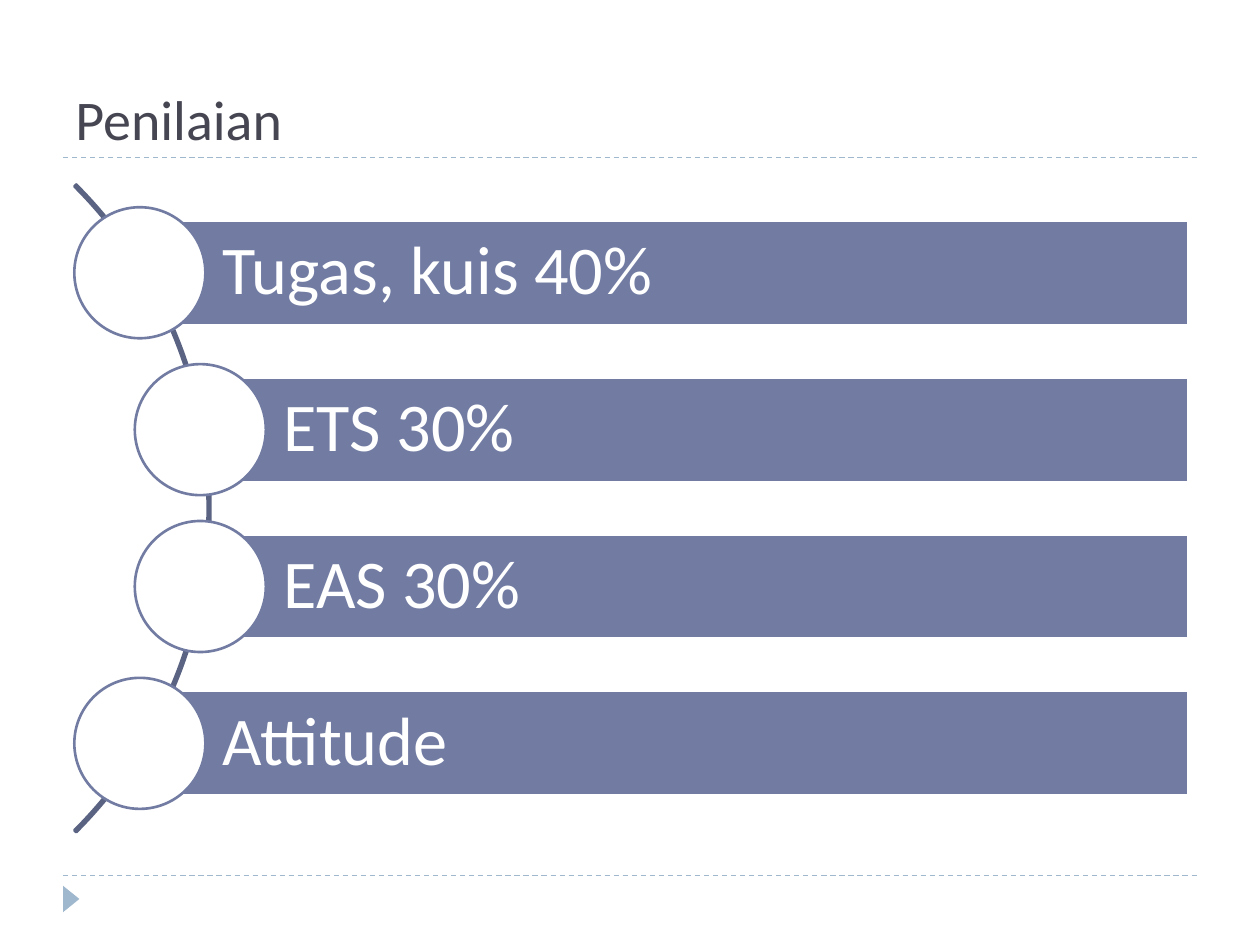
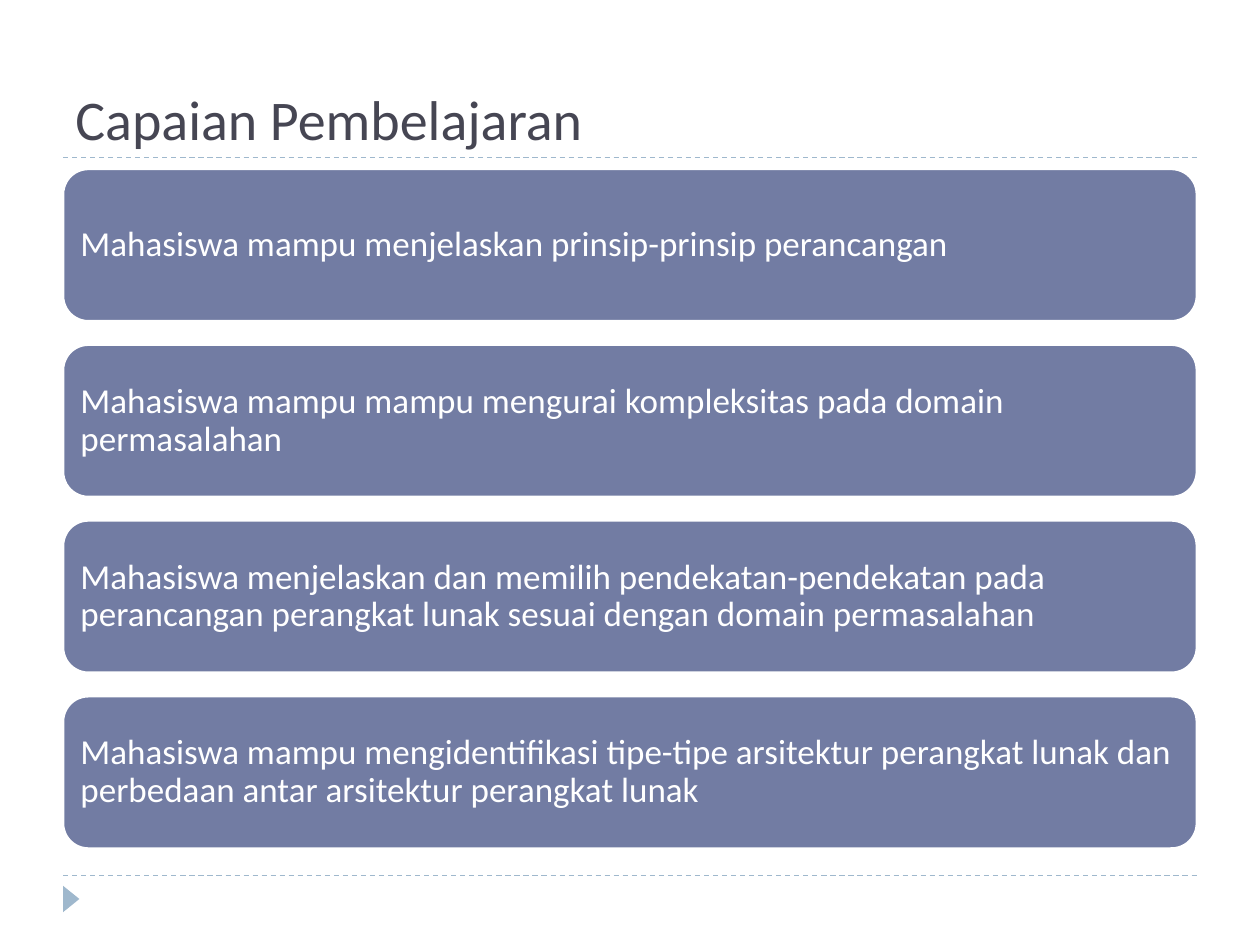
import pptx
import pptx.util
import pptx.dml.color
import pptx.enum.dml
import pptx.enum.shapes
import pptx.enum.text
import pptx.oxml.ns
import lxml.etree

RGB = pptx.dml.color.RGBColor
SLATE = RGB(0x72, 0x7C, 0xA3)
DARK_SLATE = RGB(0x5B, 0x63, 0x83)
PALE_BLUE = RGB(0x9F, 0xB8, 0xCD)
TITLE_GREY = RGB(0x46, 0x46, 0x53)
WHITE = RGB(0xFF, 0xFF, 0xFF)

SHAPE = pptx.enum.shapes.MSO_SHAPE
ANCHOR = pptx.enum.text.MSO_ANCHOR
COLS, ROWS = 20, 15  # square grid cells, half an inch each
MARGIN, CONTENT_W = 1, 18


class Deck:
    font = "Calibri"
    outline = pptx.util.Pt(1.5)

    def __init__(self):
        self.prs = pptx.Presentation()
        self.prs.slide_width = pptx.util.Inches(10)
        self.prs.slide_height = pptx.util.Inches(7.5)
        self.s = None

    def x(self, cols):
        return round(self.prs.slide_width * cols / COLS)

    def y(self, rows):
        return round(self.prs.slide_height * rows / ROWS)

    def box(self, left, top, width, height):
        return self.x(left), self.y(top), self.x(width), self.y(height)

    def new_slide(self, title):
        self.s = self.prs.slides.add_slide(self.prs.slide_layouts[6])
        # Dashed rules and the footer marker
        for row in (13.9, 2.5):
            self.rule(row)
        marker = self.shape(SHAPE.ISOSCELES_TRIANGLE, 0.92, 14.14, 0.42, 0.26, PALE_BLUE)
        marker.rotation = 90
        # Title
        sp = self.s.shapes.add_textbox(*self.box(MARGIN, 0.34, CONTENT_W, 2.16))
        self.text(sp, title, 32, TITLE_GREY, ANCHOR.BOTTOM)

    def rule(self, row):
        line = self.s.shapes.add_connector(
            pptx.enum.shapes.MSO_CONNECTOR.STRAIGHT,
            self.x(MARGIN), self.y(row), self.x(MARGIN + CONTENT_W), self.y(row))
        line.line.color.rgb = PALE_BLUE
        line.line.width = pptx.util.Pt(0.75)
        line.line.dash_style = pptx.enum.dml.MSO_LINE.DASH
        lxml.etree.SubElement(line._element.spPr, pptx.oxml.ns.qn("a:effectLst"))

    def shape(self, kind, left, top, width, height, fill=None, line=None):
        sp = self.s.shapes.add_shape(kind, *self.box(left, top, width, height))
        sp.shadow.inherit = False
        if fill is None:
            sp.fill.background()
        else:
            sp.fill.solid()
            sp.fill.fore_color.rgb = fill
        if line is None:
            sp.line.fill.background()
        else:
            sp.line.color.rgb = line
            sp.line.width = self.outline
        return sp

    def text(self, sp, words, size, color, anchor, spacing=None):
        tf = sp.text_frame
        tf.word_wrap = True
        tf.vertical_anchor = anchor
        p = tf.paragraphs[0]
        p.alignment = pptx.enum.text.PP_ALIGN.LEFT
        p.line_spacing = spacing
        r = p.add_run()
        r.text = words
        r.font.name = self.font
        r.font.size = pptx.util.Pt(size)
        r.font.color.rgb = color

    def panel(self, kind, left, top, width, height, words, size, inset, left_inset):
        sp = self.shape(kind, left, top, width, height, SLATE, WHITE)
        tf = sp.text_frame
        tf.margin_left = pptx.util.Inches(left_inset)
        tf.margin_top = tf.margin_right = tf.margin_bottom = pptx.util.Inches(inset)
        self.text(sp, words, size, WHITE, ANCHOR.MIDDLE, 0.9)

    def arc(self, center_x, center_y, diameter):
        sp = self.shape(SHAPE.BLOCK_ARC, center_x - diameter / 2, center_y - diameter / 2,
                        diameter, diameter, line=DARK_SLATE)
        for i, value in enumerate((189, 27, 0.003)):  # from 315 to 45 degrees, thin
            sp.adjustments[i] = value

    def circle(self, center_x, center_y, diameter):
        self.shape(SHAPE.OVAL, center_x - diameter / 2, center_y - diameter / 2,
                   diameter, diameter, WHITE, SLATE)


def grading_slide(deck):
    deck.new_slide("Penilaian")
    outer, inner, right = 2.22, 3.18, 18.86
    first_top, pitch, height = 3.5, 2.49, 1.66
    deck.arc(-3.93, 8.07, 14.54)
    # Bars, each with a circle centred on its left end
    grades = [("Tugas, kuis 40%", outer), ("ETS 30%", inner),
              ("EAS 30%", inner), ("Attitude", outer)]
    for i, (grade, left) in enumerate(grades):
        top = first_top + i * pitch
        deck.panel(SHAPE.RECTANGLE, left, top, right - left, height, grade, 39, 0.11, 0.66)
        deck.circle(left, top + height / 2, 2.08)


def outcomes_slide(deck):
    deck.new_slide("Capaian Pembelajaran")
    first_top, pitch, height = 2.68, 2.79, 2.42
    # Stacked outcome cards
    outcomes = [
        "Mahasiswa mampu menjelaskan prinsip-prinsip perancangan",
        "Mahasiswa mampu mampu mengurai kompleksitas pada domain permasalahan",
        "Mahasiswa menjelaskan dan memilih pendekatan-pendekatan pada "
        "perancangan perangkat lunak sesuai dengan domain permasalahan",
        "Mahasiswa mampu mengidentifikasi tipe-tipe arsitektur perangkat lunak "
        "dan perbedaan antar arsitektur perangkat lunak",
    ]
    for i, outcome in enumerate(outcomes):
        deck.panel(SHAPE.ROUNDED_RECTANGLE, MARGIN, first_top + i * pitch,
                   CONTENT_W, height, outcome, 20, 0.08, 0.08)


def main():
    deck = Deck()
    grading_slide(deck)
    outcomes_slide(deck)
    deck.prs.save("out.pptx")


if __name__ == "__main__":
    main()
